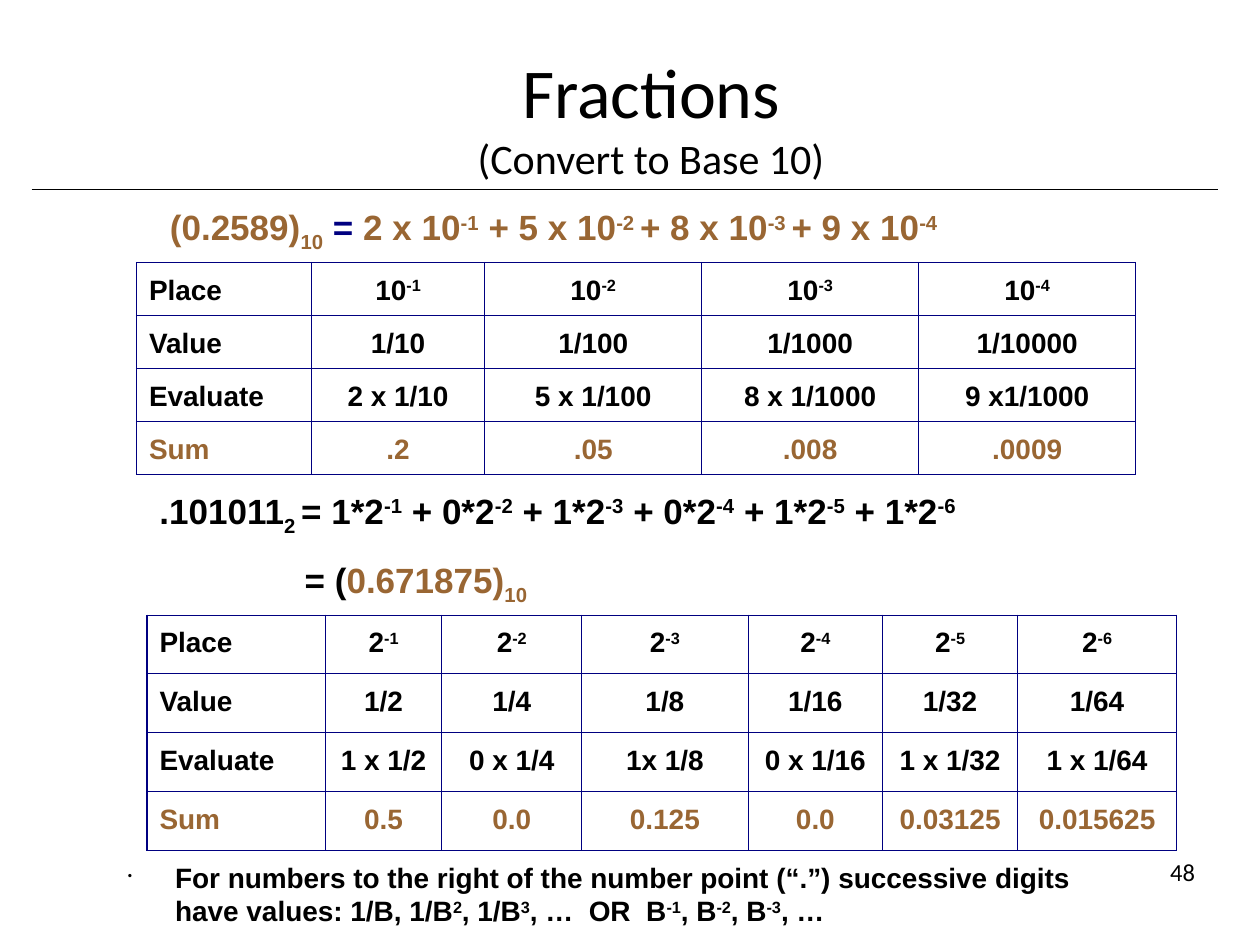
from dataclasses import dataclass

from lxml.etree import SubElement
from pptx import Presentation
from pptx.dml.color import RGBColor as RGB
from pptx.enum.shapes import MSO_CONNECTOR as Conn
from pptx.enum.text import MSO_ANCHOR as Anchor, PP_ALIGN as Align
from pptx.oxml.ns import qn
from pptx.util import Pt


@dataclass(frozen=True)
class Theme:
    black: str = "000000"
    navy: str = "000080"
    tan: str = "996633"
    head: str = "Calibri"
    body: str = "Arial"
    title: int = 40
    sub: int = 24
    math: int = 20
    text: int = 16
    page: int = 14


T = Theme()
SHIFT = {"^": "30000", "_": "-25000"}


def style(par, size, face=T.body, color=T.black, bold=True, align=Align.LEFT):
    par.alignment = align
    font = par.font
    font.size, font.name, font.bold = Pt(size), face, bold
    font.color.rgb = RGB.from_string(color)


def write(par, text, color=None):
    """Add runs split at "|"; a leading ^ raises a run and _ lowers it."""
    for part in text.split("|"):
        run = par.add_run()
        run.text = part.lstrip("^_")
        if part[0] in SHIFT:
            run.font._element.set("baseline", SHIFT[part[0]])
        if color:
            run.font.color.rgb = RGB.from_string(color)


def add_box(slide, left, top, width, height, anchor=Anchor.TOP):
    box = slide.shapes.add_textbox(Pt(left), Pt(top), Pt(width), Pt(height))
    frame = box.text_frame
    frame.word_wrap = True
    frame.vertical_anchor = anchor
    return frame


def add_rule(slide, left, top, right):
    rule = slide.shapes.add_connector(Conn.STRAIGHT, Pt(left), Pt(top), Pt(right), Pt(top))
    rule.line.width = Pt(0.5)
    rule.line.color.rgb = RGB.from_string(T.black)
    SubElement(rule._element.spPr, qn("a:effectLst"))


def add_edge(cell, side, width):
    edge = SubElement(cell._tc.get_or_add_tcPr(), qn(f"a:ln{side}"), w=str(Pt(width)))
    fill = SubElement(edge, qn("a:solidFill"))
    SubElement(fill, qn("a:srgbClr"), val=T.navy)


def add_grid(slide, left, top, widths, high, rows, inner):
    """Draw a table; inner is the width of its inside vertical lines."""
    last = len(widths) - 1
    shape = slide.shapes.add_table(len(rows), len(widths), Pt(left), Pt(top),
                                   Pt(sum(widths)), Pt(high * len(rows)))
    table = shape.table
    table.first_row = table.horz_banding = False
    for col, width in zip(table.columns, widths):
        col.width = Pt(width)
    for r, row in enumerate(rows):
        table.rows[r].height = Pt(high)
        for c, text in enumerate(row):
            cell = table.cell(r, c)
            add_edge(cell, "L", inner if c else 0.75)
            add_edge(cell, "R", inner if c < last else 0.75)
            add_edge(cell, "T", 0.75)
            add_edge(cell, "B", 0.75)
            cell.fill.background()
            par = cell.text_frame.paragraphs[0]
            par.line_spacing = 1.2
            style(par, T.text, color=T.tan if row[0] == "Sum" else T.black,
                  align=Align.CENTER if c else Align.LEFT)
            write(par, text)


def add_title(slide):
    frame = add_box(slide, 60, 18, 624, 90, Anchor.BOTTOM)
    first, second = frame.paragraphs[0], frame.add_paragraph()
    for par, text, size in ((first, "Fractions", T.title),
                            (second, "(Convert to Base 10)", T.sub)):
        style(par, size, T.head, bold=False, align=Align.CENTER)
        write(par, text)


def add_sums(slide, left, top, height, lines):
    """Write equations; each line is an indent and its coloured spans."""
    frame = add_box(slide, left, top, 552, height)
    for i, (indent, spans) in enumerate(lines):
        par = frame.add_paragraph() if i else frame.paragraphs[0]
        if i:
            par.space_before = Pt(12.5)
        if indent:
            par._p.get_or_add_pPr().set("marL", str(Pt(indent)))
        style(par, T.math)
        for text, color in spans:
            write(par, text, color)


def add_note(slide, text):
    par = add_box(slide, 66, 488, 570, 46).paragraphs[0]
    props = par._p.get_or_add_pPr()
    props.set("marL", str(Pt(27)))
    props.set("indent", str(-Pt(27)))
    SubElement(SubElement(props, qn("a:buClr")), qn("a:srgbClr"), val=T.black)
    SubElement(props, qn("a:buSzPct"), val="45000")
    SubElement(props, qn("a:buChar"), char="•")
    style(par, T.text)
    write(par, text)


def add_page(slide, number):
    par = add_box(slide, 540, 486, 150, 36).paragraphs[0]
    style(par, T.page, T.head, bold=False, align=Align.RIGHT)
    write(par, number)


def main():
    deck = Presentation()
    deck.slide_width, deck.slide_height = Pt(720), Pt(540)
    slide = deck.slides.add_slide(deck.slide_layouts[6])
    add_rule(slide, 18, 108, 696)
    add_title(slide)
    add_grid(slide, 78, 150, [100, 99, 124, 124, 124], 30.3, [
        ["Place"] + [f"10|^-{n}" for n in range(1, 5)],
        ["Value"] + [f"1/{10 ** n}" for n in range(1, 5)],
        ["Evaluate", "2 x 1/10", "5 x 1/100", "8 x 1/1000", "9 x1/1000"],
        ["Sum", ".2", ".05", ".008", ".0009"],
    ], 0.75)
    powers = " + ".join(f"{bit}*2|^-{n}|" for n, bit in enumerate("101011", 1))
    add_sums(slide, 84, 276, 74, [
        (0, [(".101011|_2 |= " + powers.rstrip("|"), T.black)]),
        (83, [("= (", T.black), ("0.671875)|_10", T.tan)]),
    ])
    add_grid(slide, 84, 351.5, [102, 66.5, 80, 95, 77, 77, 91], 33.6, [
        ["Place"] + [f"2|^-{n}" for n in range(1, 7)],
        ["Value"] + [f"1/{2 ** n}" for n in range(1, 7)],
        ["Evaluate", "1 x 1/2", "0 x 1/4", "1x 1/8", "0 x 1/16", "1 x 1/32", "1 x 1/64"],
        ["Sum", "0.5", "0.0", "0.125", "0.0", "0.03125", "0.015625"],
    ], 0.45)
    add_sums(slide, 90, 114, 93, [(0, [
        ("(0.2589)|_10", T.tan),
        (" = ", T.navy),
        ("2 x 10|^-1| + 5 x 10|^-2 |+ 8 x 10|^-3 |+ 9 x 10|^-4", T.tan),
    ])])
    add_page(slide, "48")
    add_note(slide, "For numbers to the right of the number point (“.”) successive digits "
                    "have values: 1/B, 1/B|^2|, 1/B|^3|, …  OR  B|^-1|, B|^-2|, B|^-3|, …")
    deck.save("out.pptx")


if __name__ == "__main__":
    main()
